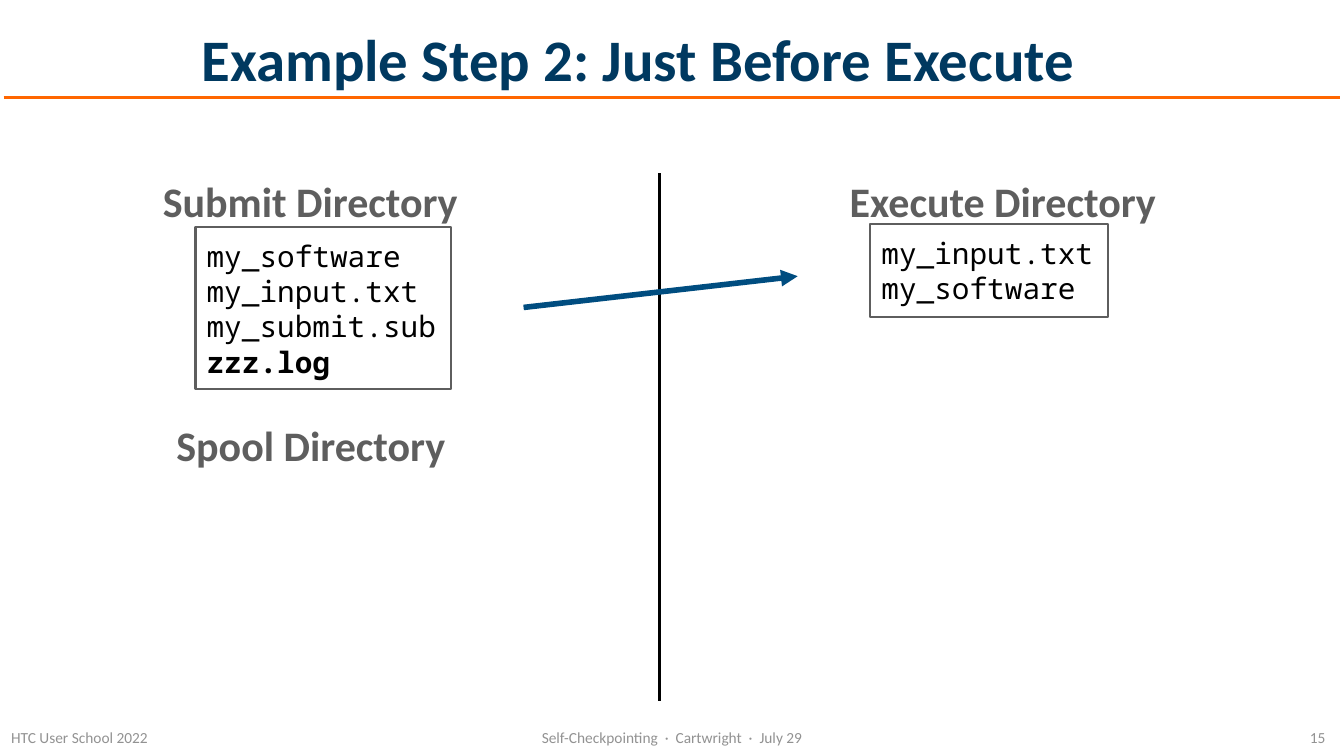
from typing import NamedTuple

from lxml import etree
from pptx import Presentation
from pptx.dml.color import RGBColor
from pptx.enum import shapes, text
from pptx.oxml import ns
from pptx.util import Inches, Pt

NAVY = RGBColor(0x00, 0x39, 0x60)
BLUE = RGBColor(0x00, 0x4D, 0x80)
ORANGE = RGBColor(0xFF, 0x66, 0x00)
DARK_GRAY = RGBColor(0x5E, 0x5E, 0x5E)
LIGHT_GRAY = RGBColor(0x92, 0x92, 0x92)
BLACK = RGBColor(0x00, 0x00, 0x00)

LEFT, CENTER, RIGHT = text.PP_ALIGN.LEFT, text.PP_ALIGN.CENTER, text.PP_ALIGN.RIGHT


class Box(NamedTuple):
    left: float
    top: float
    width: float
    height: float

    def lengths(self) -> list:
        return [Inches(value) for value in self]


class Label(NamedTuple):
    wording: str
    box: Box
    size: int
    color: RGBColor
    bold: bool = False
    align: text.PP_ALIGN = LEFT
    inset: float = 0


class FileList(NamedTuple):
    box: Box
    files: list[str]
    new_files: tuple[str, ...] = ()


class Rule(NamedTuple):
    start: tuple[float, float]
    end: tuple[float, float]
    color: RGBColor
    width: int
    arrow: bool = False


def heading(wording: str, box: Box) -> Label:
    return Label(wording, box, 60, DARK_GRAY, bold=True, inset=0.08)


def footer(wording: str, box: Box, align: text.PP_ALIGN) -> Label:
    return Label(wording, box, 22, LIGHT_GRAY, align=align)


RULES = [
    Rule((0.07, 1.94), (26.6, 1.94), ORANGE, 4),
    Rule((13.09, 13.9), (13.09, 3.43), BLACK, 4),
    Rule((10.39, 6.1), (15.83, 5.48), BLUE, 8, arrow=True),
]
LABELS = [
    footer("HTC User School 2022", Box(0.22, 14.48, 2.93, 0.31), LEFT),
    footer("Self-Checkpointing  ·  Cartwright  ·  July 29", Box(10.56, 14.48, 5.55, 0.31), CENTER),
    footer("15", Box(25.96, 14.48, 0.34, 0.31), RIGHT),
    heading("Submit Directory", Box(3.15, 3.48, 6.52, 0.99)),
    heading("Spool Directory", Box(3.42, 8.32, 5.98, 0.99)),
    heading("Execute Directory", Box(16.78, 3.48, 6.74, 0.99)),
]
FILE_LISTS = [
    FileList(Box(3.88, 4.5, 5.07, 3.21),
             ["my_software", "my_input.txt", "my_submit.sub", "zzz.log"], ("zzz.log",)),
    FileList(Box(17.27, 4.44, 4.71, 1.85), ["my_input.txt", "my_software"]),
]


def set_frame(frame, inset: float, anchor: text.MSO_ANCHOR, wrap: bool = False) -> None:
    frame.margin_left = frame.margin_right = Inches(inset)
    frame.margin_top = frame.margin_bottom = Inches(inset)
    frame.vertical_anchor = anchor
    frame.word_wrap = wrap
    frame.auto_size = text.MSO_AUTO_SIZE.NONE if wrap else text.MSO_AUTO_SIZE.SHAPE_TO_FIT_TEXT


def style(paragraph, name: str, size: int, color: RGBColor, bold: bool, align=LEFT) -> None:
    font = paragraph.font
    font.name, font.size, font.bold = name, Pt(size), bold
    font.color.rgb = color
    paragraph.alignment = align


def add_title(slide, wording: str) -> None:
    title = slide.shapes.title
    title.left, title.top, title.width, title.height = Box(4, 0.46, 22.28, 1.37).lengths()
    title.text_frame.text = wording
    set_frame(title.text_frame, 0, text.MSO_ANCHOR.MIDDLE, wrap=True)
    style(title.text_frame.paragraphs[0], "Calibri", 84, NAVY, True)


def add_label(slide, label: Label) -> None:
    frame = slide.shapes.add_textbox(*label.box.lengths()).text_frame
    frame.text = label.wording
    set_frame(frame, label.inset, text.MSO_ANCHOR.MIDDLE)
    style(frame.paragraphs[0], "Calibri", label.size, label.color, label.bold, label.align)


def add_file_list(slide, listing: FileList) -> None:
    panel = slide.shapes.add_shape(shapes.MSO_SHAPE.RECTANGLE, *listing.box.lengths())
    panel.shadow.inherit = False
    panel.fill.background()
    panel.line.color.rgb = DARK_GRAY
    panel.line.width = Pt(3)
    frame = panel.text_frame
    frame.text = "\n".join(listing.files)
    set_frame(frame, 0.22, text.MSO_ANCHOR.TOP)
    for paragraph, file in zip(frame.paragraphs, listing.files):
        style(paragraph, "Noto Sans Mono", 42, BLACK, file in listing.new_files)


def add_rule(slide, rule: Rule) -> None:
    ends = [Inches(value) for value in rule.start + rule.end]
    connector = slide.shapes.add_connector(shapes.MSO_CONNECTOR.STRAIGHT, *ends)
    connector.line.color.rgb = rule.color
    connector.line.width = Pt(rule.width)
    if rule.arrow:
        outline = connector.line._get_or_add_ln()
        etree.SubElement(outline, ns.qn("a:tailEnd"), type="triangle")
    etree.SubElement(connector._element.spPr, ns.qn("a:effectLst"))


def main() -> None:
    deck = Presentation()
    deck.slide_width, deck.slide_height = Inches(26.67), Inches(15)
    title_only = deck.slide_layouts[5]
    slide = deck.slides.add_slide(title_only)
    add_title(slide, "Example Step 2: Just Before Execute")
    for rule in RULES:
        add_rule(slide, rule)
    for listing in FILE_LISTS:
        add_file_list(slide, listing)
    for label in LABELS:
        add_label(slide, label)
    deck.save("out.pptx")


if __name__ == "__main__":
    main()
